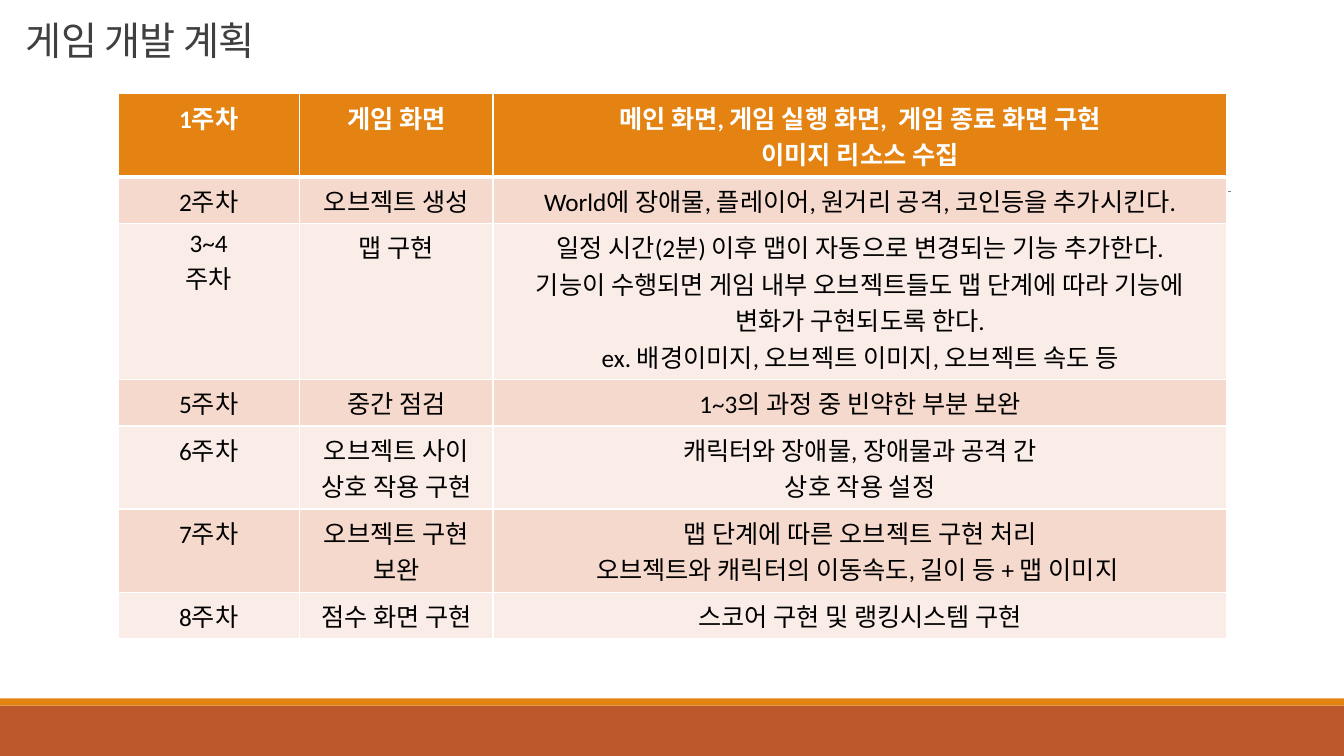
from lxml.etree import SubElement
from pptx import Presentation
from pptx.dml.color import RGBColor
from pptx.enum.shapes import MSO_CONNECTOR, MSO_SHAPE
from pptx.enum.text import MSO_ANCHOR, PP_ALIGN
from pptx.oxml import parse_xml
from pptx.oxml.ns import nsdecls, qn
from pptx.util import Inches, Pt

WHITE = "FFFFFF"
ORANGE = "E48312"
RUST = "BD582C"
BANDS = ("FAEDE7", "F5D9CC")
COLUMN_WIDTHS = (1.8, 1.92, 7.28)
ROW_HEIGHT = 0.41
PLAN = [
    ("1주차", "게임 화면", "메인 화면, 게임 실행 화면,  게임 종료 화면 구현\n이미지 리소스 수집"),
    ("2주차", "오브젝트 생성", "World에 장애물, 플레이어, 원거리 공격, 코인등을 추가시킨다."),
    ("3~4\n주차", "맵 구현",
     "일정 시간(2분) 이후 맵이 자동으로 변경되는 기능 추가한다.\n"
     "기능이 수행되면 게임 내부 오브젝트들도 맵 단계에 따라 기능에 변화가 구현되도록 한다.\n"
     "ex. 배경이미지, 오브젝트 이미지, 오브젝트 속도 등"),
    ("5주차", "중간 점검", "1~3의 과정 중 빈약한 부분 보완"),
    ("6주차", "오브젝트 사이\n상호 작용 구현", "캐릭터와 장애물, 장애물과 공격 간\n상호 작용 설정"),
    ("7주차", "오브젝트 구현\n보완",
     "맵 단계에 따른 오브젝트 구현 처리\n오브젝트와 캐릭터의 이동속도, 길이 등 + 맵 이미지 "),
    ("8주차", "점수 화면 구현", "스코어 구현 및 랭킹시스템 구현"),
]


def rgb(code):
    return RGBColor.from_string(code)


def write(frame, text, size=18, color="000000", bold=False, line_spacing=None, tracking=None):
    frame.text = text
    for paragraph in frame.paragraphs:
        paragraph.alignment = PP_ALIGN.CENTER
        paragraph.line_spacing = line_spacing
        for run in paragraph.runs:
            run.font.name = "Calibri"
            run.font.size = Pt(size)
            run.font.bold = bold
            run.font.color.rgb = rgb(color)
            if tracking is not None:
                run.font._element.set("spc", str(int(tracking * 100)))


def add_band(slide, top, height, color):
    band = slide.shapes.add_shape(
        MSO_SHAPE.RECTANGLE, 0, Inches(top), Inches(13.33), Inches(height))
    band.shadow.inherit = False
    band.fill.solid()
    band.fill.fore_color.rgb = rgb(color)
    band.line.fill.background()


def add_rule(slide, left, right, y):
    rule = slide.shapes.add_connector(
        MSO_CONNECTOR.STRAIGHT, Inches(left), Inches(y), Inches(right), Inches(y))
    rule.line.color.rgb = rgb("808080")
    rule.line.width = Pt(0.5)
    SubElement(rule._element.spPr, qn("a:effectLst"))


def set_borders(cell, top, bottom):
    properties = cell._tc.get_or_add_tcPr()
    widths = {"lnL": 1, "lnR": 1, "lnT": top, "lnB": bottom}
    for position, (side, width) in enumerate(widths.items()):
        properties.insert(position, parse_xml(
            f'<a:{side} {nsdecls("a")} w="{Pt(width)}"><a:solidFill>'
            f'<a:srgbClr val="{WHITE}"/></a:solidFill></a:{side}>'))


def add_plan(slide, left, top):
    plan = slide.shapes.add_table(
        len(PLAN), len(COLUMN_WIDTHS), Inches(left), Inches(top),
        Inches(sum(COLUMN_WIDTHS)), Inches(ROW_HEIGHT * len(PLAN))).table
    for column, width in zip(plan.columns, COLUMN_WIDTHS):
        column.width = Inches(width)
    for index, (row, texts) in enumerate(zip(plan.rows, PLAN)):
        row.height = Inches(ROW_HEIGHT)
        header = index == 0
        for cell, text in zip(row.cells, texts):
            cell.fill.solid()
            cell.fill.fore_color.rgb = rgb(ORANGE if header else BANDS[index % 2])
            set_borders(cell, top=3 if index == 1 else 1, bottom=3 if header else 1)
            write(cell.text_frame, text, color=WHITE if header else "000000", bold=header)


def set_title(slide, text):
    title = slide.shapes.title
    title.left, title.top = Inches(0), Inches(0)
    title.width, title.height = Inches(2.78), Inches(0.68)
    title.text_frame.vertical_anchor = MSO_ANCHOR.BOTTOM
    write(title.text_frame, text, size=28, color="404040", line_spacing=0.85, tracking=-0.5)


def main():
    deck = Presentation()
    deck.slide_width, deck.slide_height = Inches(13.33), Inches(7.5)
    slide = deck.slides.add_slide(deck.slide_layouts[5])
    set_title(slide, "게임 개발 계획")
    add_band(slide, 7, 0.5, RUST)
    add_band(slide, 6.93, 0.07, ORANGE)
    add_rule(slide, 1.31, 12.21, 1.9)
    add_plan(slide, 1.17, 0.93)
    deck.save("out.pptx")


if __name__ == "__main__":
    main()
